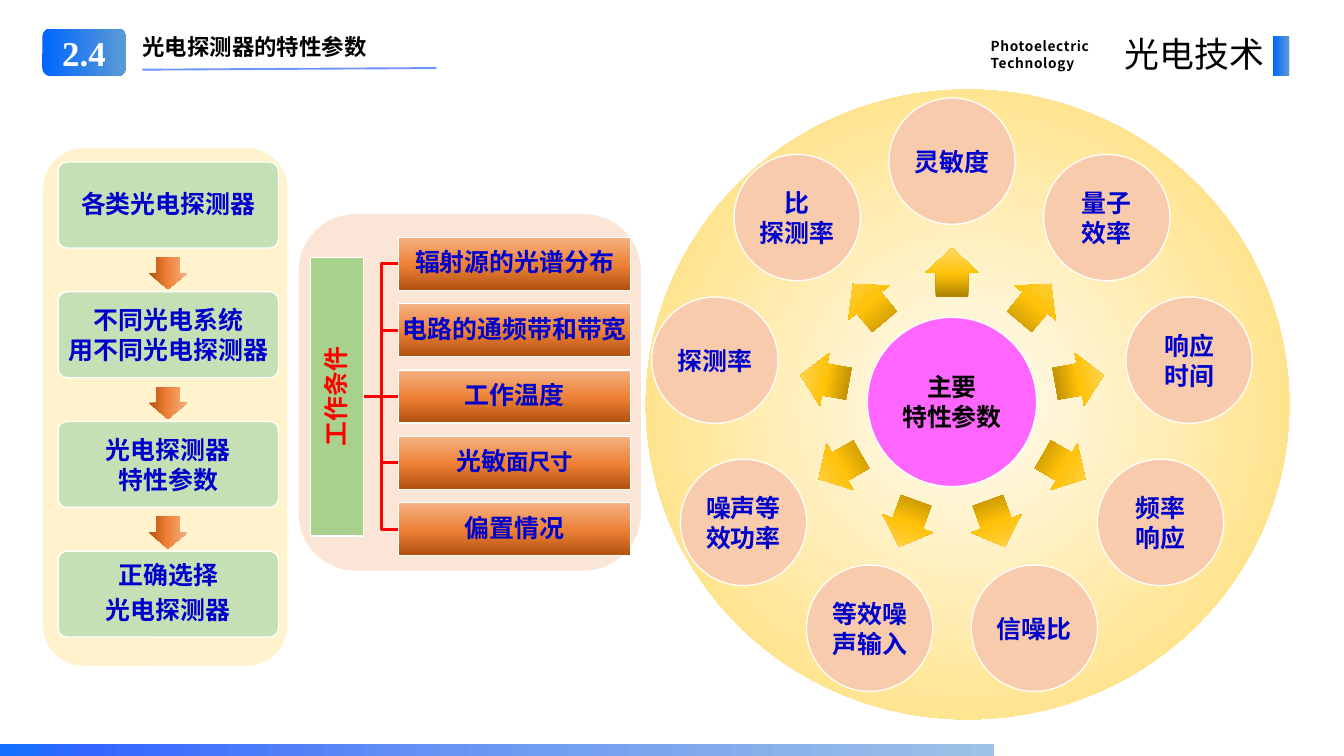
from math import cos, radians, sin

from lxml.etree import SubElement as Sub
from pptx import Presentation
from pptx.dml.color import RGBColor as RGB
from pptx.enum.shapes import MSO_CONNECTOR as LINK, MSO_SHAPE as KIND
from pptx.enum.text import MSO_ANCHOR as ANCHOR, MSO_AUTO_SIZE as FIT, PP_ALIGN as ALIGN
from pptx.oxml.ns import qn
from pptx.util import Pt


class Theme:
    font, serif = "Noto Sans CJK SC", "Times New Roman"
    body, head, small, large = 20, 18, 11, 28
    black, white, blue, red = "000000", "FFFFFF", "0000CC", "FF0000"
    cream, peach, disc = "FFF2CC", "FBE5D6", "F8CBAD"
    card, label, hub, rule = "C5E0B4", "A9D18E", "FF66FF", "3366FF"
    # Gradients: colour stops in percent, then the angle (None is radial)
    glow = ([(0, "FFFCF2"), (74, "FFE38C"), (83, "FFE38C"), (100, "FFECB2")], None)
    gold = ([(0, "AB8100"), (48, "FFC208"), (100, "FFD966")], 0)
    rust = ([(0, "B0500F"), (48, "EE8137"), (100, "F4B183")], 270)
    badge = ([(0, "0066FF"), (100, "5B9BD5")], 0)
    foot = ([(0, "1271FE"), (9, "3366FF"), (45, "6895F3"), (100, "9DC3E6")], 0)


def put(kind, x, y, w, h, fill, edge=False, turn=0, adj=()):
    """Add a preset shape with a plain or gradient fill and maybe a white edge."""
    shape = slide.shapes.add_shape(kind, Pt(x), Pt(y), Pt(w), Pt(h))
    shape.shadow.inherit = False
    shape.rotation = turn
    for i, value in enumerate(adj):
        shape.adjustments[i] = value
    if isinstance(fill, str):
        shape.fill.solid()
        shape.fill.fore_color.rgb = RGB.from_string(fill)
    else:
        stops, angle = fill
        shape.fill.gradient()
        grad = shape._element.spPr.find(qn("a:gradFill"))
        grad.clear()
        grad.set("rotWithShape", "1")
        group = Sub(grad, qn("a:gsLst"))
        for place, color in stops:
            stop = Sub(group, qn("a:gs"), pos=str(place * 1000))
            Sub(stop, qn("a:srgbClr"), val=color)
        if angle is None:
            path = Sub(grad, qn("a:path"), path="circle")
            Sub(path, qn("a:fillToRect"), l="50000", t="50000", r="50000", b="50000")
        else:
            Sub(grad, qn("a:lin"), ang=str(angle * 60000), scaled="0")
    if edge:
        shape.line.color.rgb = RGB.from_string(Theme.white)
        shape.line.width = Pt(1)
    else:
        shape.line.fill.background()
    return shape


def style(shape, size, color, inset=None, bold=True, align=ALIGN.CENTER,
          anchor=ANCHOR.MIDDLE, font=Theme.font, space=None, gap=0, track=0):
    """Format the text a shape already holds."""
    frame = shape.text_frame
    frame.word_wrap = True
    frame.vertical_anchor = anchor
    if inset is not None:
        frame.margin_left = frame.margin_right = Pt(inset)
        frame.margin_top = frame.margin_bottom = Pt(inset)
    for para in frame.paragraphs:
        para.alignment = align
        para.line_spacing = space
        para.space_after = Pt(gap)
        for run in para.runs:
            run.font.size = Pt(size)
            run.font.bold = bold
            run.font.color.rgb = RGB.from_string(color)
            run.font.name = font
            mark = run._r.get_or_add_rPr()
            Sub(mark, qn("a:ea"), typeface=font)
            if track:
                mark.set("spc", str(track))


deck = Presentation()
deck.slide_width, deck.slide_height = Pt(1080), Pt(607.5)
slide = deck.slides.add_slide(deck.slide_layouts[5])

# Backdrops
put(KIND.OVAL, 519, 72, 517, 506, Theme.glow)
put(KIND.ROUNDED_RECTANGLE, 240, 172, 275, 286.5, Theme.peach)
put(KIND.ROUNDED_RECTANGLE, 34.5, 119, 196.5, 416, Theme.cream)

# Wheel of parameters
midx, midy = 765, 323
hub = put(KIND.OVAL, midx - 68, midy - 68, 136, 136, Theme.hub, edge=True)
hub.text_frame.text = "主要\n特性参数"
style(hub, Theme.body, Theme.black, inset=2)

names = ["灵敏度", "量子\n效率", "响应\n时间", "频率\n响应", "信噪比",
         "等效噪声输入", "噪声等效功率", "探测率", "比\n探测率"]
size, wide, high = 101.5, 39.5, 43
for i, name in enumerate(names):
    angle = 360 / len(names) * i - 90
    dx, dy = cos(radians(angle)), sin(radians(angle))
    put(KIND.RIGHT_ARROW, midx + 104 * dx - wide / 2, midy + 104 * dy - high / 2,
        wide, high, Theme.gold, turn=angle, adj=(0.6, 0.5))
    disc = put(KIND.OVAL, midx + 193.5 * dx - size / 2, midy + 193.5 * dy - size / 2,
               size, size, Theme.disc, edge=True)
    disc.text_frame.text = name
    style(disc, Theme.body, Theme.blue, inset=2)

# Selection steps: text, line spacing, space after
steps = [("各类光电探测器", 0.9, 0), ("不同光电系统\n用不同光电探测器", None, 0),
         ("光电探测器\n特性参数", None, 0), ("正确选择\n光电探测器", 0.9, 7)]
for i, (text, space, gap) in enumerate(steps):
    top = 130.3 + 104.2 * i
    if i:
        put(KIND.RIGHT_ARROW, 122, top - 30.5, 26, 31, Theme.rust,
            turn=90, adj=(0.6, 0.5))
    card = put(KIND.ROUNDED_RECTANGLE, 46.8, top, 177, 69, Theme.card,
               edge=True, adj=(0.1,))
    card.text_frame.text = text
    style(card, Theme.body, Theme.blue, inset=4, space=space, gap=gap)

# Working conditions
bars = [("辐射源的光谱分布",), ("电路的通频带和带宽",), ("工作温度",),
        ("光敏", "面尺寸"), ("偏置情况",)]
tops = [190.8 + 53.3 * i for i in range(len(bars))]
tall, left, stem = 42.5, 320.4, 292.3
axis = tops[2] + tall / 2
for top in tops:
    link = slide.shapes.add_connector(LINK.ELBOW, Pt(stem), Pt(axis),
                                      Pt(left), Pt(top + tall / 2))
    link.line.color.rgb = RGB.from_string(Theme.red)
    link.line.width = Pt(2.5)
    Sub(link._element.spPr, qn("a:effectLst"))
label = put(KIND.RECTANGLE, 159, axis - tall / 2, 224, tall, Theme.label,
            edge=True, turn=270)
label.text_frame.text = "工作条件"
style(label, Theme.body, Theme.red, inset=1, space=0.9)
for top, (first, *rest) in zip(tops, bars):
    bar = put(KIND.RECTANGLE, left, top, 186.5, tall, Theme.rust, edge=True)
    bar.text_frame.text = first
    para = bar.text_frame.paragraphs[0]
    for part in rest:
        para.add_run().text = part
    style(bar, Theme.body, Theme.blue, inset=1, space=0.9)
    for run in para.runs[1:]:
        run.font.size = Pt(Theme.head)

# Header and footer
title = slide.shapes.title
title.left, title.top, title.width, title.height = Pt(107.3), Pt(23), Pt(252), Pt(29)
title.text_frame.text = "光电探测器的特性参数"
title.text_frame.auto_size = FIT.NONE
style(title, Theme.head, Theme.black, align=ALIGN.LEFT, anchor=ANCHOR.TOP)

sub = slide.shapes.add_textbox(Pt(789), Pt(26), Pt(114), Pt(35))
sub.text_frame.text = "Photoelectric\nTechnology"
style(sub, Theme.small, Theme.black, align=ALIGN.LEFT, anchor=ANCHOR.TOP,
      space=Pt(14), track=50)

put(KIND.RECTANGLE, 1023, 28.8, 13, 32.4, Theme.badge)
badge = put(KIND.ROUNDED_RECTANGLE, 34, 23, 67, 38, Theme.badge)
badge.text_frame.text = "2.4"
style(badge, Theme.large, Theme.white, font=Theme.serif)

rule = slide.shapes.add_connector(LINK.STRAIGHT, Pt(114.5), Pt(56), Pt(350.6), Pt(54.7))
rule.line.color.rgb = RGB.from_string(Theme.rule)
rule.line.width = Pt(1.5)
tint = rule._element.spPr.find(".//" + qn("a:srgbClr"))
Sub(tint, qn("a:alpha"), val="70000")
Sub(rule._element.spPr, qn("a:effectLst"))

course = slide.shapes.add_textbox(Pt(886.3), Pt(23), Pt(136.8), Pt(41))
course.text_frame.text = "光电技术"
style(course, Theme.large, Theme.black, bold=False, align=ALIGN.RIGHT,
      anchor=ANCHOR.TOP, track=20)

put(KIND.RECTANGLE, 0, 597.5, 798.5, 10, Theme.foot)

deck.save("out.pptx")
